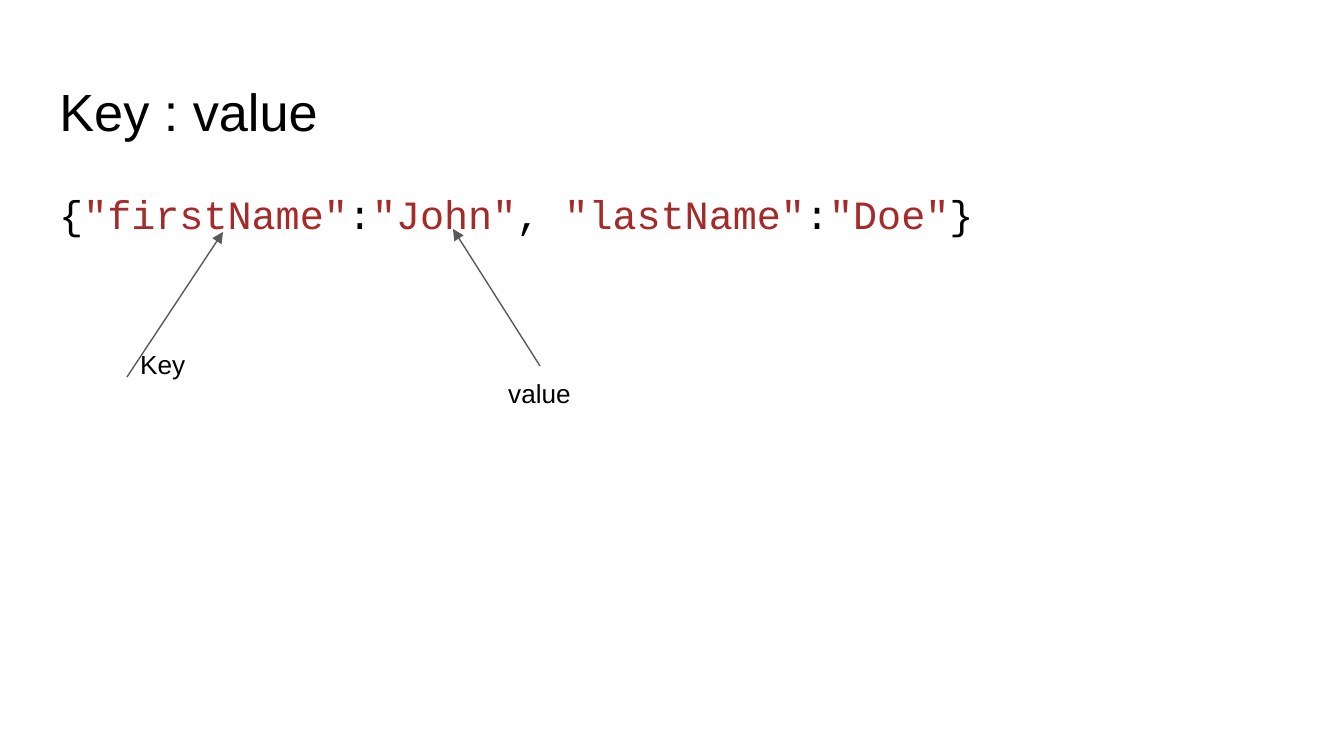
from dataclasses import dataclass

from lxml import etree
from pptx import Presentation, util as u
from pptx.dml.color import RGBColor
from pptx.enum import shapes, text
from pptx.oxml import ns

PX = 914400 / 134.4


@dataclass(frozen=True)
class Theme:
    """Colours, fonts and type sizes of the slide."""
    ink: str = "000000"
    string: str = "A52A2A"
    arrow: str = "595959"
    paper: str = "FFFFFF"
    sans: str = "Arial"
    mono: str = "Courier New"
    title: float = 28
    code: float = 21.5
    label: float = 14


THEME = Theme()


def px(*lengths):
    """Turn pixel lengths into EMU."""
    return [u.Emu(round(n * PX)) for n in lengths]


def set_frame(sp, box):
    """Place a text shape and give it even insets and top-left text."""
    sp.left, sp.top, sp.width, sp.height = px(*box)
    tf = sp.text_frame
    tf.word_wrap = True
    tf.auto_size = text.MSO_AUTO_SIZE.NONE
    tf.vertical_anchor = text.MSO_ANCHOR.TOP
    tf.margin_left = tf.margin_top = tf.margin_right = tf.margin_bottom = u.Inches(0.1)
    p = tf.paragraphs[0]
    p.alignment = text.PP_ALIGN.LEFT
    return p


def add_run(p, words, size, font=THEME.sans, color=THEME.ink):
    """Append one formatted run to a paragraph."""
    r = p.add_run()
    r.text = words
    r.font.size = u.Pt(size)
    r.font.name = font
    r.font.color.rgb = RGBColor.from_string(color)


def add_title(s, box, words):
    """Fill the title placeholder."""
    p = set_frame(s.shapes.title, box)
    p.line_spacing = 1.0
    p.space_before = u.Pt(0)
    add_run(p, words, THEME.title)


def add_code(s, box, tokens):
    """Write a line of code, colouring the quoted strings."""
    p = set_frame(s.shapes.add_textbox(0, 0, 0, 0), box)
    p.line_spacing = 1.15
    p.space_after = u.Pt(16)
    for token in tokens:
        color = THEME.string if token.startswith('"') else THEME.ink
        add_run(p, token, THEME.code, THEME.mono, color)


def add_callout(s, box, words, tail, tip):
    """Write a label and draw its arrow; tail and tip are offsets from the box."""
    left, top = box[:2]
    p = set_frame(s.shapes.add_textbox(0, 0, 0, 0), box)
    add_run(p, words, THEME.label)
    ends = px(left + tail[0], top + tail[1], left + tip[0], top + tip[1])
    arrow = s.shapes.add_connector(shapes.MSO_CONNECTOR.STRAIGHT, *ends)
    arrow.line.color.rgb = RGBColor.from_string(THEME.arrow)
    arrow.line.width = u.Pt(0.75)
    etree.SubElement(arrow.line._get_or_add_ln(), ns.qn("a:tailEnd"),
                     type="triangle", w="med", len="med")
    etree.SubElement(arrow._element.spPr, ns.qn("a:effectLst"))


def build_key_value_slide(prs):
    """Build the slide that names the key and the value of a JSON pair."""
    s = prs.slides.add_slide(prs.slide_layouts[5])
    s.background.fill.solid()
    s.background.fill.fore_color.rgb = RGBColor.from_string(THEME.paper)
    add_title(s, (46, 66, 1252, 84), "Key : value")
    add_code(s, (46, 169, 1252, 503),
             ["{", '"firstName"', ":", '"John"', ", ", '"lastName"', ":", '"Doe"', "}"])
    add_callout(s, (127, 335, 317, 84), "Key", (0, 42), (96, -103))
    add_callout(s, (495, 364, 746, 122), "value", (45, 2), (-42, -135))


prs = Presentation()
prs.slide_width, prs.slide_height = px(1344, 756)
build_key_value_slide(prs)
prs.save("out.pptx")
